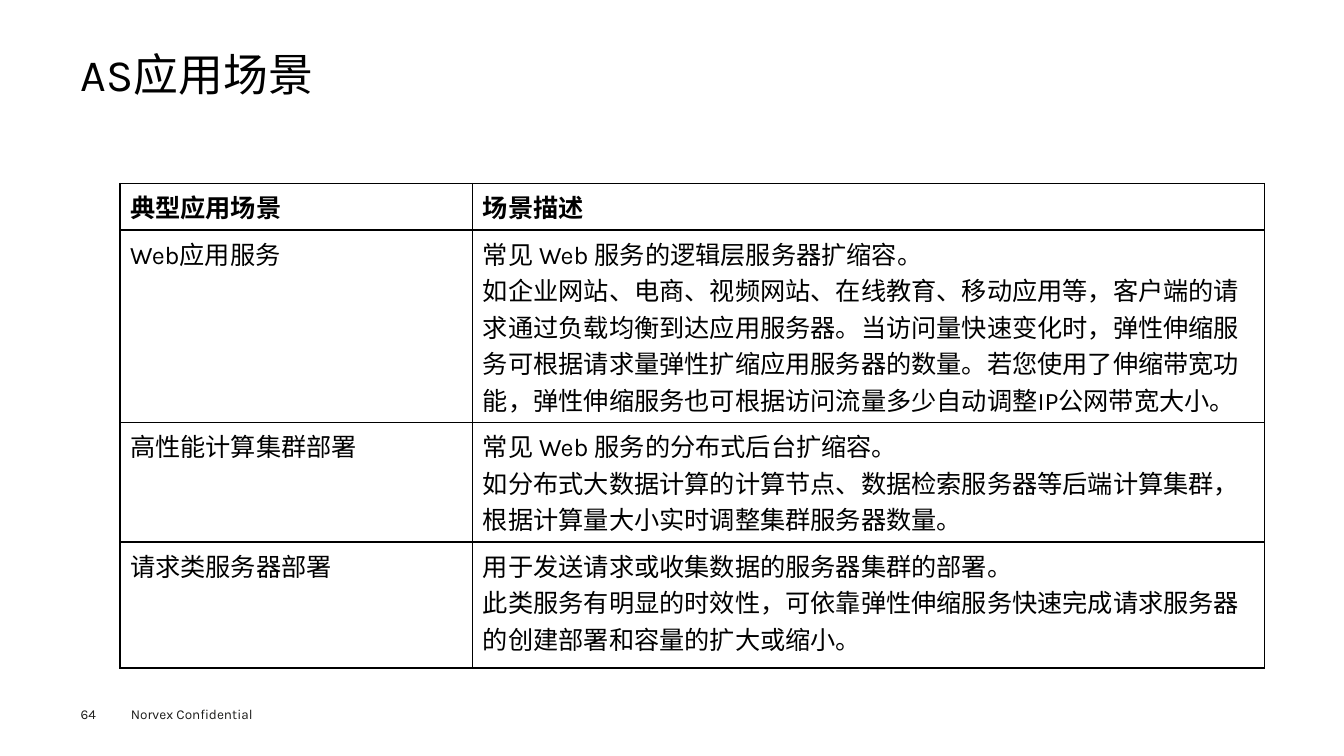
from lxml.etree import SubElement
from pptx import Presentation
from pptx.dml.color import RGBColor
from pptx.enum.text import MSO_ANCHOR
from pptx.oxml.ns import qn
from pptx.util import Inches, Pt

BLACK = RGBColor(0x00, 0x00, 0x00)
WHITE = RGBColor(0xFF, 0xFF, 0xFF)
FOOTER_GREY = RGBColor(0x1D, 0x1D, 0x1B)
FONT_NAME = "Karla"

SCENARIOS = [
    ("典型应用场景", "场景描述"),
    ("Web应用服务",
     "常见 Web 服务的逻辑层服务器扩缩容。\n"
     "如企业网站、电商、视频网站、在线教育、移动应用等，客户端的请求通过负载均衡到达应用服务器。"
     "当访问量快速变化时，弹性伸缩服务可根据请求量弹性扩缩应用服务器的数量。"
     "若您使用了伸缩带宽功能，弹性伸缩服务也可根据访问流量多少自动调整IP公网带宽大小。"),
    ("高性能计算集群部署",
     "常见 Web 服务的分布式后台扩缩容。\n"
     "如分布式大数据计算的计算节点、数据检索服务器等后端计算集群，根据计算量大小实时调整集群服务器数量。"),
    ("请求类服务器部署",
     "用于发送请求或收集数据的服务器集群的部署。\n"
     "此类服务有明显的时效性，可依靠弹性伸缩服务快速完成请求服务器的创建部署和容量的扩大或缩小。"),
]
COLUMN_WIDTHS = [3.5, 7.85]
ROW_HEIGHTS = [0.39, 1.84, 1.15, 1.25]


class SlideBuilder:
    """Holds the font and the current slide."""

    def __init__(self, page, font_name):
        self.page = page
        self.font_name = font_name

    def style(self, frame, size, color, bold=False):
        for paragraph in frame.paragraphs:
            font = paragraph.font
            font.name = self.font_name
            font.size = Pt(size)
            font.bold = bold
            font.color.rgb = color

    def clear_margins(self, frame):
        frame.margin_left = frame.margin_right = 0
        frame.margin_top = frame.margin_bottom = 0

    def title(self, text, left, top, width, height):
        title = self.page.shapes.title
        title.left, title.top = Inches(left), Inches(top)
        title.width, title.height = Inches(width), Inches(height)
        frame = title.text_frame
        frame.text = text
        self.clear_margins(frame)
        frame.vertical_anchor = MSO_ANCHOR.MIDDLE
        frame.paragraphs[0].line_spacing = 0.9
        frame.paragraphs[0].alignment = 1
        self.style(frame, 32, BLACK)

    def label(self, text, left, top, width, height, margins=True):
        box = self.page.shapes.add_textbox(
            Inches(left), Inches(top), Inches(width), Inches(height))
        frame = box.text_frame
        frame.word_wrap = True
        frame.text = text
        if not margins:
            self.clear_margins(frame)
        self.style(frame, 9.7, FOOTER_GREY)

    def border(self, cell):
        properties = cell._tc.get_or_add_tcPr()
        for position, side in enumerate(("a:lnL", "a:lnR", "a:lnT", "a:lnB")):
            line = properties.makeelement(qn(side), {"w": str(Pt(1))})
            fill = SubElement(line, qn("a:solidFill"))
            SubElement(fill, qn("a:srgbClr"), val=str(BLACK))
            properties.insert(position, line)

    def table(self, rows, widths, heights, left, top):
        frame = self.page.shapes.add_table(
            len(rows), len(widths), Inches(left), Inches(top),
            Inches(sum(widths)), Inches(sum(heights)))
        table = frame.table
        table.first_row = table.horz_banding = False
        for column, width in zip(table.columns, widths):
            column.width = Inches(width)
        for row, height in zip(table.rows, heights):
            row.height = Inches(height)
        for row_index, texts in enumerate(rows):
            for column_index, text in enumerate(texts):
                cell = table.cell(row_index, column_index)
                cell.text = text
                cell.fill.solid()
                cell.fill.fore_color.rgb = WHITE
                self.border(cell)
                self.style(cell.text_frame, 18, BLACK, bold=row_index == 0)


def main():
    deck = Presentation()
    deck.slide_width, deck.slide_height = Inches(13.33), Inches(7.5)
    page = deck.slides.add_slide(deck.slide_layouts[5])
    builder = SlideBuilder(page, FONT_NAME)

    # Title
    builder.title("AS应用场景", 0.8, 0.49, 11.73, 0.54)

    # Scenario table
    builder.table(SCENARIOS, COLUMN_WIDTHS, ROW_HEIGHTS, 1.19, 1.82)

    # Footer
    builder.label("Norvex Confidential", 1.2, 6.95, 1.6, 0.27)
    builder.label("64", 0.8, 7, 0.55, 0.16, margins=False)

    deck.save("out.pptx")


if __name__ == "__main__":
    main()
